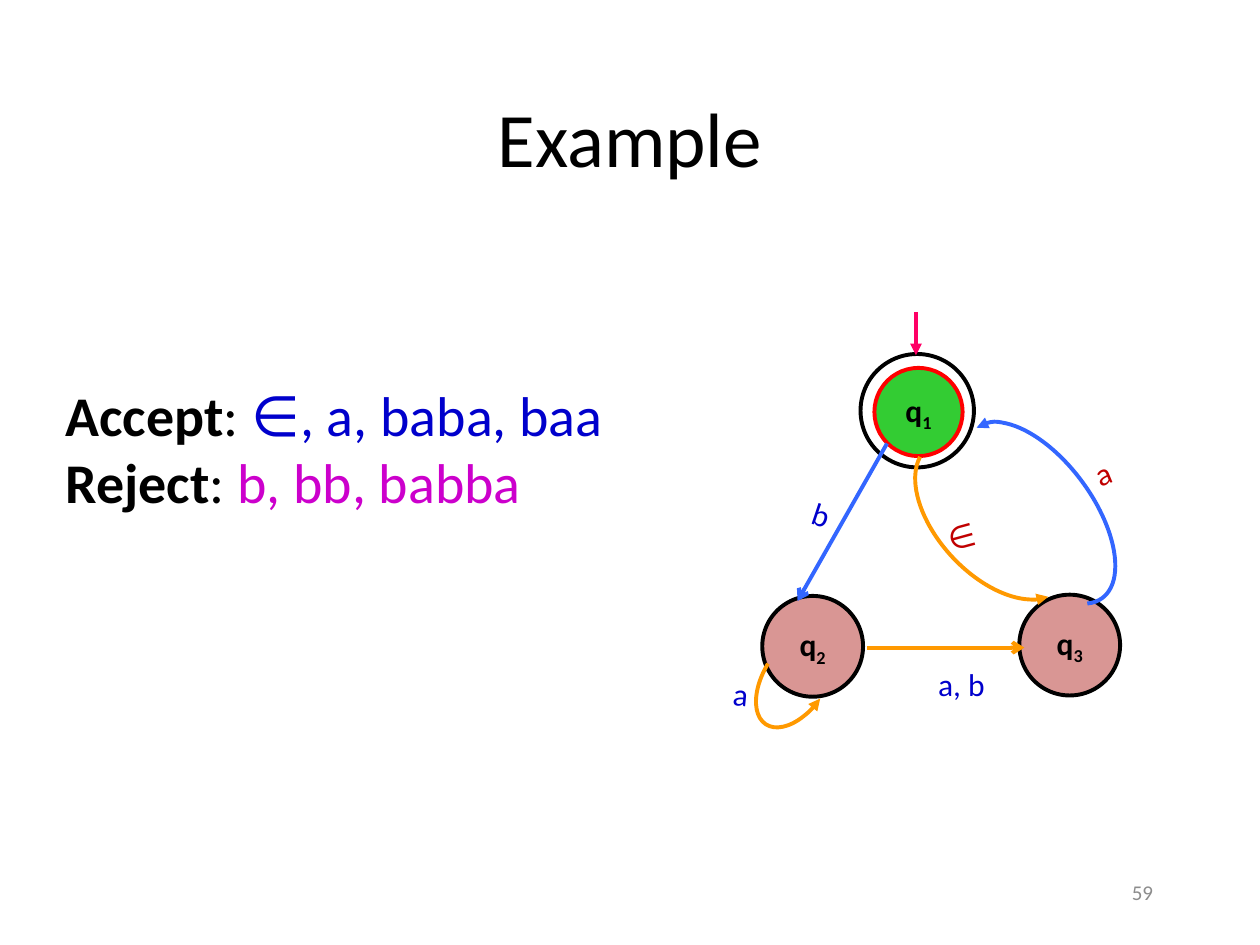
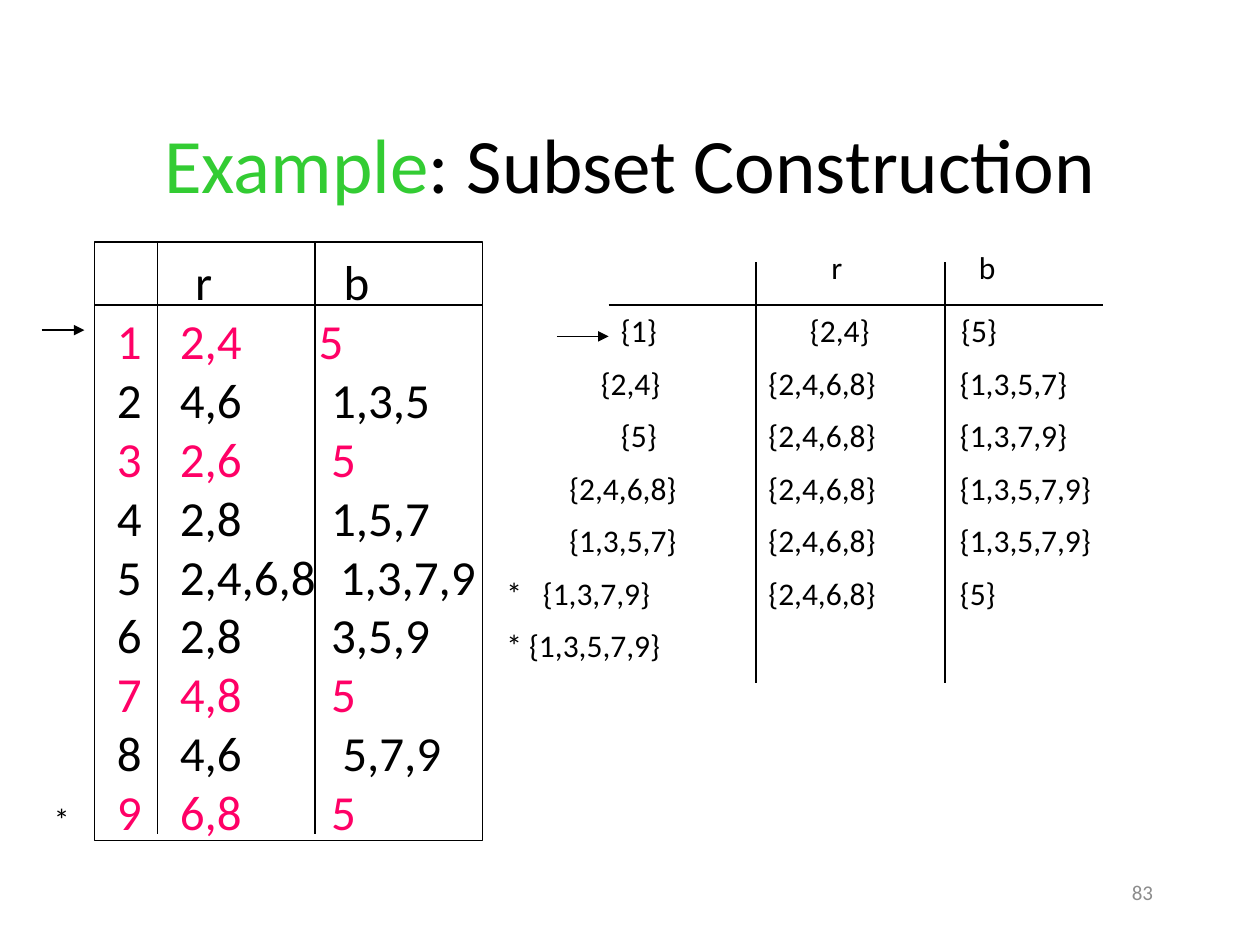
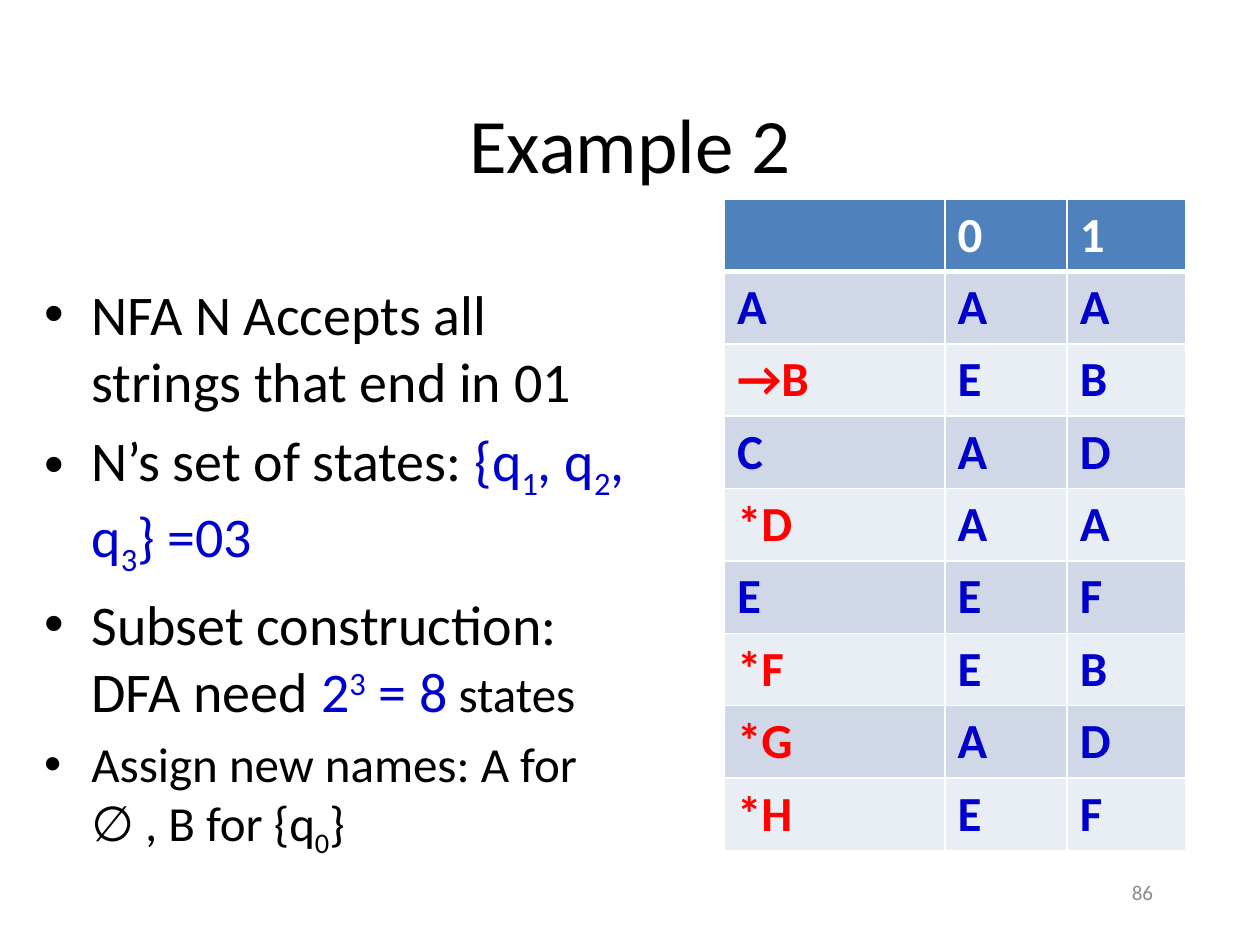
from typing import NamedTuple, Optional, Sequence

from lxml import etree
from pptx import Presentation
from pptx import util as u
from pptx.dml.color import RGBColor
from pptx.enum import shapes, text
from pptx.oxml import ns

Inches = u.Inches
FONT = "Calibri"
COLORS = {
    "black": "000000", "white": "FFFFFF", "grey": "8C8C8C", "blue": "0000CC",
    "purple": "CC00CC", "pink": "FF0066", "green": "33CC33", "red": "FF0000",
    "dark red": "C00000", "rose": "D99694", "sky": "3366FF", "orange": "FF9900",
    "header": "4F81BD", "band": "D0D8E8", "pale band": "E9EDF4",
}


class Run(NamedTuple):
    text: str
    color: str = "black"
    bold: bool = False
    size: Optional[float] = None
    baseline: int = 0


class Box(NamedTuple):
    left: float
    top: float
    width: float
    height: float


class State(NamedTuple):
    box: Box
    fill: str
    line: str
    number: str = ""


class Line(NamedTuple):
    start: tuple[float, float]
    end: tuple[float, float]
    color: str = "black"
    width: float = 0.75
    head: str = ""
    tail: str = ""


class Arc(NamedTuple):
    box: Box
    rotation: float
    adjustments: tuple[float, float]
    color: str
    flipped: bool = False


class Label(NamedTuple):
    text: str
    left: float
    top: float
    rotation: float
    color: str


class SubsetRow(NamedTuple):
    state: str
    left: float
    moves: str
    moves_left: float = 6
    tab: float = 1.52


# Shared helpers
def rgb(name: str) -> RGBColor:
    return RGBColor.from_string(COLORS[name])


def lengths(box: Box) -> list[u.Length]:
    return [Inches(value) for value in box]


def add_runs(paragraph, runs: Sequence[Run], size: float) -> None:
    for item in runs:
        run = paragraph.add_run()
        run.text = item.text
        font = run.font
        font.name, font.size, font.bold = FONT, u.Pt(item.size or size), item.bold
        font.color.rgb = rgb(item.color)
        if item.baseline:
            run._r.get_or_add_rPr().set("baseline", str(item.baseline * 1000))


def fill_text(frame, paragraphs: Sequence[Sequence[Run]], size: float) -> None:
    for index, runs in enumerate(paragraphs):
        paragraph = frame.add_paragraph() if index else frame.paragraphs[0]
        add_runs(paragraph, runs, size)


def add_text(slide, box: Box, paragraphs: Sequence[Sequence[Run]], size: float = 18,
             align=text.PP_ALIGN.LEFT, anchor=text.MSO_ANCHOR.TOP, wrap: bool = True):
    shape = slide.shapes.add_textbox(*lengths(box))
    frame = shape.text_frame
    frame.word_wrap, frame.vertical_anchor = wrap, anchor
    fill_text(frame, paragraphs, size)
    for paragraph in frame.paragraphs:
        paragraph.alignment = align
    return shape


def set_indent(paragraph, left: float, first: float = 0, numbered: bool = False) -> None:
    properties = paragraph._p.get_or_add_pPr()
    properties.set("marL", str(Inches(left)))
    properties.set("indent", str(Inches(first)))
    if numbered:
        etree.SubElement(properties, ns.qn("a:buAutoNum"), type="arabicPlain")


def set_tab(paragraph, position: float) -> None:
    tabs = etree.SubElement(paragraph._p.get_or_add_pPr(), ns.qn("a:tabLst"))
    etree.SubElement(tabs, ns.qn("a:tab"), pos=str(Inches(position)), algn="l")


def style_line(shape, color: str, width: float, head: str = "", tail: str = "") -> None:
    shape.line.color.rgb = rgb(color)
    shape.line.width = u.Pt(width)
    outline = shape.line._get_or_add_ln()
    for tag, kind in (("a:headEnd", head), ("a:tailEnd", tail)):
        if kind:
            etree.SubElement(outline, ns.qn(tag), type=kind)


def add_line(slide, line: Line) -> None:
    points = [Inches(value) for value in line.start + line.end]
    connector = slide.shapes.add_connector(shapes.MSO_CONNECTOR.STRAIGHT, *points)
    style_line(connector, line.color, line.width, line.head, line.tail)
    etree.SubElement(connector.element.spPr, ns.qn("a:effectLst"))


def add_outline(slide, kind, box: Box, fill: Optional[str] = None):
    shape = slide.shapes.add_shape(kind, *lengths(box))
    shape.shadow.inherit = False
    if fill:
        shape.fill.solid()
        shape.fill.fore_color.rgb = rgb(fill)
    else:
        shape.fill.background()
    return shape


def add_slide(presentation, layout: int, title: Sequence[Run], box: Box, number: int):
    slide = presentation.slides.add_slide(presentation.slide_layouts[layout])
    shape = slide.shapes.title
    shape.left, shape.top, shape.width, shape.height = lengths(box)
    frame = shape.text_frame
    frame.auto_size = text.MSO_AUTO_SIZE.NONE
    frame.vertical_anchor = text.MSO_ANCHOR.MIDDLE
    fill_text(frame, [title], 44)
    frame.paragraphs[0].alignment = text.PP_ALIGN.CENTER
    add_text(slide, Box(7.17, 6.83, 2.08, 0.5), [[Run(str(number), "grey")]], 12,
             text.PP_ALIGN.RIGHT, text.MSO_ANCHOR.MIDDLE)
    return slide


# Slide 1: automaton with accepted and rejected strings
STATES = [
    State(Box(6.05, 4.73, 0.8, 0.8), "rose", "black", "2"),
    State(Box(6.83, 2.81, 0.9, 0.9), "white", "black"),
    State(Box(6.94, 2.92, 0.7, 0.7), "green", "red", "1"),
    State(Box(8.09, 4.72, 0.8, 0.8), "rose", "black", "3"),
]
TRANSITIONS = [
    Line((7.27, 2.48), (7.27, 2.82), "pink", 2.25, tail="triangle"),
    Line((6.33, 4.77), (7.04, 3.52), "sky", 2.25, head="arrow"),
    Line((6.88, 5.14), (8.13, 5.14), "orange", 2.25, tail="arrow"),
]
ARCS = [
    Arc(Box(7.83, 3.23, 0.84, 1.68), 323.6, (162, 59.12), "sky"),
    Arc(Box(7.44, 3.35, 0.88, 1.54), 317, (166.48, 50.15), "orange", True),
    Arc(Box(5.88, 5.13, 0.88, 0.5), 303.3, (166.48, 50.15), "orange", True),
]
LABELS = [
    Label("∈", 7.34, 4.09, 344.7, "dark red"),
    Label("a", 8.46, 3.59, 337.7, "dark red"),
    Label("b", 6.23, 3.92, 18.5, "blue"),
    Label("a", 5.59, 5.34, 5.6, "blue"),
    Label("a, b", 7.34, 5.26, 0, "blue"),
]


def add_state(slide, state: State) -> None:
    shape = add_outline(slide, shapes.MSO_SHAPE.OVAL, state.box, state.fill)
    style_line(shape, state.line, 2.25)
    if state.number:
        frame = shape.text_frame
        frame.word_wrap, frame.vertical_anchor = False, text.MSO_ANCHOR.MIDDLE
        name = [Run("q", bold=True), Run(state.number, bold=True, baseline=-25)]
        fill_text(frame, [name], 18)
        frame.paragraphs[0].alignment = text.PP_ALIGN.CENTER


def add_arc(slide, arc: Arc) -> None:
    shape = add_outline(slide, shapes.MSO_SHAPE.ARC, arc.box)
    shape.rotation = arc.rotation
    for index, adjustment in enumerate(arc.adjustments):
        shape.adjustments[index] = adjustment
    if arc.flipped:
        for side in ("flipH", "flipV"):
            shape.element.spPr.xfrm.set(side, "1")
    style_line(shape, arc.color, 2.25, head="triangle")


def build_automaton(presentation) -> None:
    slide = add_slide(presentation, 5, [Run("Example")], Box(0.75, 0.67, 8.5, 0.83), 59)
    for state in STATES:
        add_state(slide, state)
    for line in TRANSITIONS:
        add_line(slide, line)
    for arc in ARCS:
        add_arc(slide, arc)
    for label in LABELS:
        shape = add_text(slide, Box(label.left, label.top, 0.58, 0.33),
                         [[Run(label.text, label.color)]], 18, text.PP_ALIGN.CENTER,
                         text.MSO_ANCHOR.MIDDLE, wrap=False)
        shape.rotation = label.rotation
    add_text(slide, Box(0.42, 2.97, 5.09, 1.18), [
        [Run("Accept", bold=True), Run(": "), Run("∈, a, baba, baa", "blue")],
        [Run("Reject", bold=True), Run(": "), Run("b, bb, babba", "purple")],
    ], 32)


# Slide 2: transition tables of the NFA and of its subset construction
NFA_ROWS = [  # r moves, b moves, indent of the b moves
    ("2,4", "5", 0), ("4,6", "1,3,5", 0.1), ("2,6", "5", 0.1),
    ("2,8", "1,5,7", 0.1), ("2,4,6,8", "1,3,7,9", 0.17), ("2,8", "3,5,9", 0.1),
    ("4,8", "5", 0.1), ("4,6", "5,7,9", 0.19), ("6,8", "5", 0.1),
]
SUBSET_ROWS = [
    SubsetRow("{1}", 4.83, "{2,4}\t{5}", 6.33, 1.2),
    SubsetRow("{2,4}", 4.67, "{2,4,6,8}\t{1,3,5,7}"),
    SubsetRow("{5}", 4.83, "{2,4,6,8}\t{1,3,7,9}"),
    SubsetRow("{2,4,6,8}", 4.42, "{2,4,6,8}\t{1,3,5,7,9}"),
    SubsetRow("{1,3,5,7}", 4.42, "{2,4,6,8}\t{1,3,5,7,9}"),
    SubsetRow("*\t{1,3,7,9}", 3.92, "{2,4,6,8}\t{5}"),
    SubsetRow("* {1,3,5,7,9}", 3.92, ""),
]
RULES = [
    Line((1.25, 1.92), (1.25, 6.62)),
    Line((2.5, 1.92), (2.5, 6.62)),
    Line((0.75, 2.42), (3.83, 2.42)),
    Line((0.33, 2.62), (0.67, 2.62), tail="triangle"),
    Line((4.83, 2.42), (8.75, 2.42)),
    Line((6, 2.08), (6, 5.42)),
    Line((7.5, 2.08), (7.5, 5.42)),
    Line((4.42, 2.67), (4.83, 2.67), tail="triangle"),
]


def add_tabbed(slide, box: Box, content: str, tab: float) -> None:
    shape = add_text(slide, box, [[Run(content)]])
    if "\t" in content:
        set_tab(shape.text_frame.paragraphs[0], tab)


def add_nfa_table(slide) -> None:
    colors = ["black"] + ["pink" if row[1] == "5" else "black" for row in NFA_ROWS]
    r_moves = ["r"] + [row[0] for row in NFA_ROWS]
    b_moves = ["b"] + [row[1] for row in NFA_ROWS]
    r_column, b_column = (
        add_text(slide, Box(left, 1.95, width, 4.81),
                 [[Run(*cell)] for cell in zip(moves, colors)], 28)
        for left, width, moves in ((0.83, 1.9, r_moves), (2.43, 1.5, b_moves)))
    for index, paragraph in enumerate(r_column.text_frame.paragraphs):
        if index:
            set_indent(paragraph, 0.5, -0.5, numbered=True)
        else:
            set_indent(paragraph, 0.62)
    indents = [0.2] + [row[2] for row in NFA_ROWS]
    for paragraph, indent in zip(b_column.text_frame.paragraphs, indents):
        set_indent(paragraph, indent)
    frame = add_outline(slide, shapes.MSO_SHAPE.RECTANGLE, Box(0.75, 1.92, 3.08, 4.75))
    style_line(frame, "black", 0.75)
    add_text(slide, Box(0.33, 6.3, 0.38, 0.5), [[Run("*")]])


def build_subset_construction(presentation) -> None:
    title = [Run("Example", "green"), Run(": Subset Construction")]
    slide = add_slide(presentation, 5, title, Box(0.75, 0.67, 8.5, 1.25), 83)
    add_nfa_table(slide)
    for line in RULES:
        add_line(slide, line)
    add_tabbed(slide, Box(6.5, 1.92, 1.7, 0.5), "r\tb", 1.17)
    for index, row in enumerate(SUBSET_ROWS):
        top = 2.42 + index * 5 / 12
        add_tabbed(slide, Box(row.left, top, 6.04 - row.left, 0.5), row.state, 0.29)
        if row.moves:
            add_tabbed(slide, Box(row.moves_left, top, 2.81, 0.4), row.moves, row.tab)


# Slide 3: subset construction with renamed states
BULLETS = [
    [Run("NFA N Accepts all strings that end in 01")],
    [Run("N’s set of states: "), Run("{q", "blue"), Run("1", "blue", baseline=-25),
     Run(", q", "blue"), Run("2", "blue", baseline=-25), Run(", q", "blue"),
     Run("3", "blue", baseline=-25), Run("} =03", "blue")],
    [Run("Subset construction: DFA need "), Run("2", "blue"),
     Run("3", "blue", baseline=30), Run(" = 8", "blue"), Run(" states", size=28)],
    [Run("Assign new names: A for ∅ , B for {q", size=28),
     Run("0", size=28, baseline=-25), Run("}", size=28)],
]
DFA_ROWS = [
    ("", "0", "1"), ("A", "A", "A"), ("→B", "E", "B"), ("C", "A", "D"), ("*D", "A", "A"),
    ("E", "E", "F"), ("*F", "E", "B"), ("*G", "A", "D"), ("*H", "E", "F"),
]
DFA_WIDTHS = [1.75, 0.97, 0.94]


def add_bottom_border(cell, color: str, width: float) -> None:
    border = etree.Element(ns.qn("a:lnB"), w=str(u.Pt(width)))
    fill = etree.SubElement(border, ns.qn("a:solidFill"))
    etree.SubElement(fill, ns.qn("a:srgbClr"), val=COLORS[color])
    cell._tc.get_or_add_tcPr().insert(0, border)


def add_dfa_table(slide) -> None:
    box = Box(5.75, 1.58, sum(DFA_WIDTHS), 5.17)
    table = slide.shapes.add_table(len(DFA_ROWS), len(DFA_WIDTHS), *lengths(box)).table
    for column, width in zip(table.columns, DFA_WIDTHS):
        column.width = Inches(width)
    for row, values in enumerate(DFA_ROWS):
        fill = "header" if row == 0 else "band" if row % 2 else "pale band"
        for column, value in enumerate(values):
            cell = table.cell(row, column)
            cell.fill.solid()
            cell.fill.fore_color.rgb = rgb(fill)
            if row == 0:
                add_bottom_border(cell, "white", 3)
            marked = value.startswith(("→", "*"))
            color = "white" if row == 0 else "red" if marked else "blue"
            if value:
                fill_text(cell.text_frame, [[Run(value, color, True)]], 28)


def build_renamed_states(presentation) -> None:
    slide = add_slide(presentation, 1, [Run("Example 2")], Box(0.75, 0.67, 8.5, 0.92), 86)
    body = slide.placeholders[1]
    body.left, body.top, body.width, body.height = lengths(Box(0.25, 2.17, 4.83, 4.5))
    body.text_frame.auto_size = text.MSO_AUTO_SIZE.NONE
    fill_text(body.text_frame, BULLETS, 32)
    body.text_frame.paragraphs[0].space_before = u.Pt(0)
    add_dfa_table(slide)


def main() -> None:
    presentation = Presentation()
    presentation.slide_width, presentation.slide_height = Inches(10), Inches(7.5)
    build_automaton(presentation)
    build_subset_construction(presentation)
    build_renamed_states(presentation)
    presentation.save("out.pptx")


if __name__ == "__main__":
    main()
